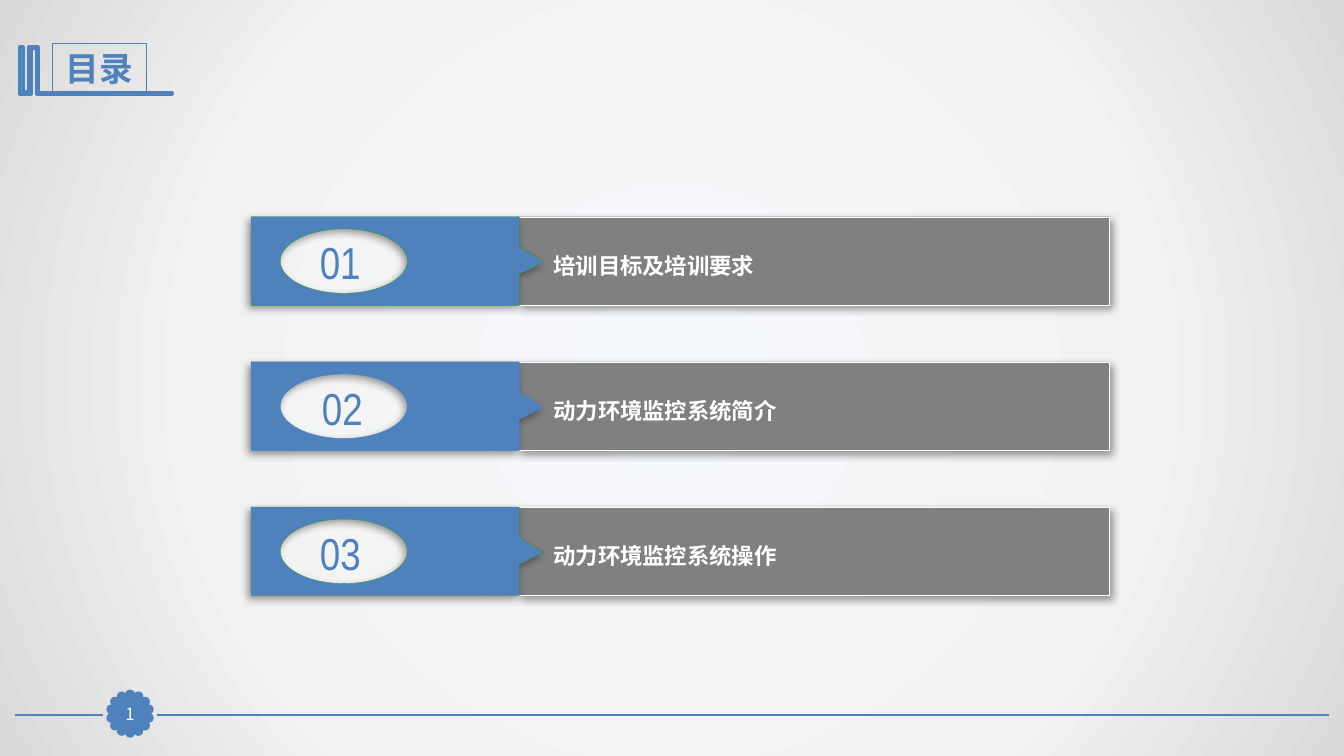
from dataclasses import dataclass
from math import cos, pi, sin

from pptx import Presentation
from pptx.dml.color import RGBColor
from pptx.enum.shapes import MSO_CONNECTOR, MSO_SHAPE
from pptx.enum.text import MSO_ANCHOR as Anchor, MSO_AUTO_SIZE as AutoSize, PP_ALIGN as Align
from pptx.oxml import parse_xml
from pptx.oxml.ns import nsdecls, qn
from pptx.util import Inches, Pt

COLORS = {
    "blue": "4F81BD", "cyan": "28A9D6", "gray": "808080", "green": "339933",
    "white": "FFFFFF", "black": "000000",
    "center": "F6F9FC", "middle": "F2F2F2", "edge": "D9D9D9",
}
Point = tuple[float, float]


@dataclass
class Topic:
    number: str
    label: str
    outline: str
    number_left: float
    number_width: float


TOPICS = [
    Topic("01", "培训目标及培训要求", "green", 2.91, 0.93),
    Topic("02", "动力环境监控系统简介", "blue", 2.89, 1.01),
    Topic("03", "动力环境监控系统操作", "green", 2.87, 1.01),
]
FIRST_TOP, ROW_PITCH, ROW_HEIGHT = 2.15, 1.44, 0.88
BADGE_X, BADGE_Y, BADGE_RADIUS, PETALS, PETAL_SIZE = 1.29, 7.08, 0.19, 14, 0.07
BOOKMARK = [
    (0.37, 0.46), (0.38, 0.46), (0.38, 0.92), (1.71, 0.92), (1.71, 0.94), (0.36, 0.94),
    (0.36, 0.48), (0.31, 0.48), (0.31, 0.94), (0.19, 0.94), (0.19, 0.46), (0.23, 0.46),
    (0.23, 0.91), (0.28, 0.91), (0.28, 0.46),
]
CURVE = 0.55  # handle length of a quarter ellipse, as a share of its radius


def rgb(name: str) -> RGBColor:
    return RGBColor.from_string(COLORS[name])


def paint(shape, fill: str, outline: str, width: float) -> None:
    shape.shadow.inherit = False
    shape.fill.solid()
    shape.fill.fore_color.rgb = rgb(fill)
    shape.line.color.rgb = rgb(outline)
    shape.line.width = Pt(width)


def add_shadow(shape, angle: int) -> None:
    """Cast a soft shadow towards the given angle in degrees."""
    effects = shape._element.spPr.find(qn("a:effectLst"))
    effects.append(parse_xml(
        f'<a:outerShdw {nsdecls("a")} blurRad="{Pt(6)}" dist="{Pt(3)}" dir="{angle * 60000}" '
        f'algn="ctr" rotWithShape="0"><a:srgbClr val="{COLORS["black"]}">'
        '<a:alpha val="40000"/></a:srgbClr></a:outerShdw>'))


def write(shape, text: str, size: int, font: str, color: str, bold: bool = False,
          align: Align = Align.CENTER, anchor: Anchor = Anchor.MIDDLE) -> None:
    frame = shape.text_frame
    frame.text = text
    frame.word_wrap = True
    frame.auto_size = AutoSize.NONE
    frame.vertical_anchor = anchor
    para = frame.paragraphs[0]
    para.alignment = align
    span = para.runs[0].font
    span.size, span.name, span.bold = Pt(size), font, bold
    span.color.rgb = rgb(color)


def add_preset(shapes, kind: MSO_SHAPE, left: float, top: float, width: float, height: float):
    return shapes.add_shape(kind, Inches(left), Inches(top), Inches(width), Inches(height))


def add_text_box(shapes, left: float, top: float, width: float, height: float):
    return shapes.add_textbox(Inches(left), Inches(top), Inches(width), Inches(height))


def add_outline(shapes, corners: list[Point]):
    points = [(Inches(x), Inches(y)) for x, y in corners]
    builder = shapes.build_freeform(*points[0])
    builder.add_line_segments(points[1:], close=True)
    return builder.convert_to_shape()


def cut_ellipse(shape, x: float, y: float, radius_x: float, radius_y: float) -> None:
    """Add an elliptical hole, centred at x, y from the top left of a freeform."""
    def point(across: float, down: float) -> str:
        return f'<a:pt x="{Inches(x + across * radius_x)}" y="{Inches(y + down * radius_y)}"/>'

    outline = next(shape._element.iter(qn("a:path")))
    steps = [f'<a:moveTo {nsdecls("a")}>{point(0, -1)}</a:moveTo>']
    across, down = 0, -1
    for _ in range(4):
        next_across, next_down = down, -across
        steps.append(
            f'<a:cubicBezTo {nsdecls("a")}>'
            + point(across + CURVE * next_across, down + CURVE * next_down)
            + point(next_across + CURVE * across, next_down + CURVE * down)
            + point(next_across, next_down) + '</a:cubicBezTo>')
        across, down = next_across, next_down
    steps.append(f'<a:close {nsdecls("a")}/>')
    for step in steps:
        outline.append(parse_xml(step))


def set_background(slide) -> None:
    stops = "".join(
        f'<a:gs pos="{position * 1000}"><a:srgbClr val="{COLORS[name]}"/></a:gs>'
        for position, name in [(0, "center"), (63, "middle"), (100, "edge")])
    slide._element.cSld.insert(0, parse_xml(
        f'<p:bg {nsdecls("p", "a")}><p:bgPr><a:gradFill rotWithShape="1"><a:gsLst>{stops}</a:gsLst>'
        '<a:path path="circle"><a:fillToRect l="50000" t="50000" r="50000" b="50000"/></a:path>'
        '</a:gradFill><a:effectLst/></p:bgPr></p:bg>'))


def add_footer(slide) -> None:
    for start, end in [(13.18, 1.56), (1.02, 0.15)]:
        rule = slide.shapes.add_connector(
            MSO_CONNECTOR.STRAIGHT, Inches(start), Inches(7.09), Inches(end), Inches(7.09))
        rule.line.color.rgb = rgb("blue")
        rule.line.width = Pt(1.25)
        rule._element.spPr.append(parse_xml(f'<a:effectLst {nsdecls("a")}/>'))
    badge = slide.shapes.add_group_shape().shapes
    for step in range(PETALS):
        angle = 2 * pi * step / PETALS
        petal = add_preset(badge, MSO_SHAPE.OVAL,
                           BADGE_X + BADGE_RADIUS * sin(angle) - PETAL_SIZE / 2,
                           BADGE_Y - BADGE_RADIUS * cos(angle) - PETAL_SIZE / 2,
                           PETAL_SIZE, PETAL_SIZE)
        paint(petal, "blue", "blue", 2)
    page_number = add_preset(slide.shapes, MSO_SHAPE.RECTANGLE, 1.13, 6.93, 0.32, 0.31)
    paint(page_number, "blue", "blue", 0.75)
    write(page_number, "1", 12, "Noto Sans CJK SC", "white")
    frame = page_number.text_frame
    frame.margin_left = frame.margin_right = frame.margin_top = frame.margin_bottom = 0


def add_title(slide) -> None:
    paint(add_outline(slide.shapes, BOOKMARK), "cyan", "blue", 2)
    title = slide.shapes.title
    title.left, title.top, title.width, title.height = map(Inches, (0.52, 0.43, 0.93, 0.5))
    title.line.color.rgb = rgb("blue")
    title.line.width = Pt(0.75)
    write(title, "目录", 24, "Arial Narrow", "blue", bold=True)


def add_topic(slide, topic: Topic, top: float) -> None:
    row = slide.shapes.add_group_shape().shapes
    bar = add_preset(row, MSO_SHAPE.RECTANGLE, 5.13, top, 5.87, ROW_HEIGHT)
    paint(bar, "gray", "white", 0.25)
    add_shadow(bar, 45)

    bottom = top + ROW_HEIGHT
    tab = add_outline(row, [
        (2.49, top), (5.15, top), (5.15, top + 0.3), (5.39, top + 0.45),
        (5.15, top + 0.57), (5.15, bottom), (2.49, bottom)])
    cut_ellipse(tab, 0.92, 0.44, 0.63, 0.32)
    paint(tab, "blue", topic.outline, 0.25)
    add_shadow(tab, 135)

    number = add_text_box(row, topic.number_left, top + 0.13, topic.number_width, 0.64)
    write(number, topic.number, 32, "Arial Narrow", "blue")
    label = add_text_box(row, 5.39, top + 0.3, 5.61, 0.37)
    write(label, topic.label, 16, "Calibri", "white", True, Align.LEFT, Anchor.TOP)


def main() -> None:
    deck = Presentation()
    deck.slide_width, deck.slide_height = Inches(13.33), Inches(7.5)
    slide = deck.slides.add_slide(deck.slide_layouts[5])
    set_background(slide)
    add_footer(slide)
    add_title(slide)
    for index, topic in enumerate(TOPICS):
        add_topic(slide, topic, FIRST_TOP + index * ROW_PITCH)
    deck.save("out.pptx")


if __name__ == "__main__":
    main()
